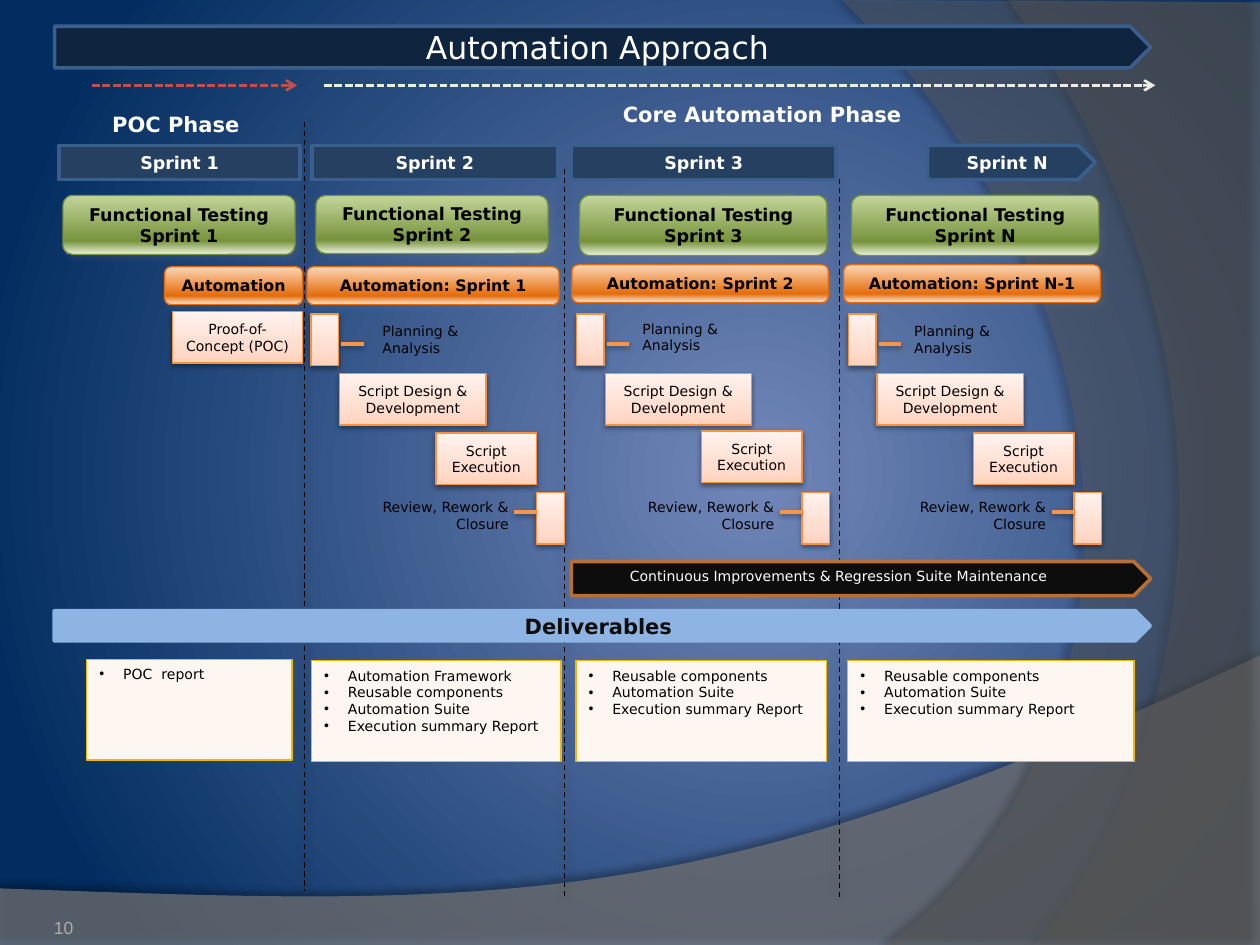
from lxml.etree import SubElement
from pptx import Presentation
from pptx.dml.color import RGBColor
from pptx.enum.dml import MSO_LINE
from pptx.enum.shapes import MSO_CONNECTOR, MSO_SHAPE
from pptx.enum.text import MSO_ANCHOR, MSO_AUTO_SIZE, PP_ALIGN
from pptx.oxml.ns import qn
from pptx.util import Cm, Pt

C = {"white": "FFFFFF", "black": "000000", "title": "0F243E", "edge": "3A5F8C",
     "sprint": "254061", "green": "77933C", "orange": "E46C0A", "step": "F69240",
     "link": "F79646", "maint": "0D0D0D", "maint_edge": "B76F34", "band": "8EB4E3",
     "card": "FEF6F0", "card_edge": "F2B800", "red": "C0504D", "cream": "EEECE1",
     "number": "B0AFA6", "wave": "7F7F7F", "side": "5E5E5E", "dots": "17375E"}
GRADS = {"page": [(0, "7287B9"), (100, "032D60")],
         "green": [(0, "C3D69B"), (77, "77933C"), (100, "EBF1DE")],
         "orange": [(0, "FCD5B5"), (77, "E46C0A"), (100, "FDEADA")],
         "step": [(0, "FFD2BD"), (35, "FFDED0"), (100, "FFF2ED")]}
SHADOWS = {"chip": ("808080", 14, 4, 3, 45), "step": ("000000", 38, 3.1, 1.6, 90),
           "divider": ("000000", 40, 5, 0, 0), "wave": ("000000", 35, 4, 3.5, 270),
           "side": ("000000", 45, 4, 4, 180)}
FONT = "DejaVu Sans"


def rgb(name):
    return RGBColor.from_string(C[name])


def add_color(parent, value, alpha=100):
    clr = SubElement(parent, qn("a:srgbClr"), val=value)
    if alpha < 100:
        SubElement(clr, qn("a:alpha"), val=str(alpha * 1000))


def gradient(fill, parent, name, angle=None):
    fill.background()
    grad = SubElement(parent, qn("a:gradFill"), rotWithShape="1")
    parent.replace(parent.find(qn("a:noFill")), grad)
    stops = SubElement(grad, qn("a:gsLst"))
    for pos, value in GRADS[name]:
        add_color(SubElement(stops, qn("a:gs"), pos=str(pos * 1000)), value)
    if angle is None:
        way = SubElement(grad, qn("a:path"), {"path": "circle"})
        SubElement(way, qn("a:fillToRect"), l="60000", t="50000", r="40000", b="50000")
    else:
        SubElement(grad, qn("a:lin"), ang=str(angle * 60000), scaled="0")


def shadow(sp, name=None):
    spPr = sp._element.spPr
    eff = spPr.find(qn("a:effectLst"))
    if eff is None:
        eff = SubElement(spPr, qn("a:effectLst"))
    if name:
        value, alpha, blur, dist, angle = SHADOWS[name]
        outer = SubElement(eff, qn("a:outerShdw"), blurRad=str(Pt(blur)), dist=str(Pt(dist)),
                           dir=str(angle * 60000), algn="ctr", rotWithShape="0")
        add_color(outer, value, alpha)


def write(sp, lines, size, color="black", bold=False, align=PP_ALIGN.CENTER,
          anchor=MSO_ANCHOR.MIDDLE, wrap=True, bullet=False, font=FONT):
    tf = sp.text_frame
    tf.word_wrap, tf.auto_size, tf.vertical_anchor = wrap, MSO_AUTO_SIZE.NONE, anchor
    for i, line_text in enumerate(lines):
        p = tf.add_paragraph() if i else tf.paragraphs[0]
        p.alignment, p.space_before = align, Pt(0)
        r = p.add_run()
        r.text = line_text
        r.font.name, r.font.size, r.font.bold = font, Pt(size), bold
        r.font.color.rgb = rgb(color)
        if bullet:
            pPr = p._p.get_or_add_pPr()
            pPr.set("marL", str(Cm(0.48)))
            pPr.set("indent", str(-Cm(0.48)))
            SubElement(pPr, qn("a:buChar"), char="•")


def paint(sp, fill, edge, width):
    sp.fill.solid()
    sp.fill.fore_color.rgb = rgb(fill)
    sp.line.color.rgb = rgb(edge)
    sp.line.width = Pt(width)


def place(s, idx, box):
    sp = s.placeholders[idx]
    sp.left, sp.top, sp.width, sp.height = map(Cm, box)
    s.shapes._spTree.append(sp._element)
    return sp


def block(s, kind, box, fill, edge, width=2):
    sp = s.shapes.add_shape(kind, *map(Cm, box))
    sp.shadow.inherit = False
    paint(sp, fill, edge, width)
    return sp


def glossy(s, kind, box, name, angle, effect):
    sp = block(s, kind, box, name, name, 0.75)
    gradient(sp.fill, sp._element.spPr, name, angle)
    shadow(sp, effect)
    return sp


def label(s, box, text, size, **style):
    write(s.shapes.add_textbox(*map(Cm, box)), [text], size, anchor=MSO_ANCHOR.TOP, **style)


def line(s, x1, y1, x2, y2, color, width, dash=None, effect=None, arrow=False):
    ln = s.shapes.add_connector(MSO_CONNECTOR.STRAIGHT, *map(Cm, (x1, y1, x2, y2)))
    ln.line.color.rgb = rgb(color)
    ln.line.width = Pt(width)
    if dash:
        ln.line.dash_style = dash
    if arrow:
        SubElement(ln.line._get_or_add_ln(), qn("a:tailEnd"), type="arrow")
    shadow(ln, effect)


def swoosh(s, corners, c1, c2, end, color, alpha, effect):
    points = [(Cm(x), Cm(y)) for x, y in corners + [end]]
    fb = s.shapes.build_freeform(*points[0])
    fb.add_line_segments(points[1:], close=True)
    sp = fb.convert_to_shape()
    last = sp._element.spPr.findall(".//" + qn("a:lnTo"))[len(corners) - 1]
    curve = SubElement(last.getparent(), qn("a:cubicBezTo"))
    last.getparent().replace(last, curve)
    for x, y in (c1, c2, end):
        SubElement(curve, qn("a:pt"), x=str(Cm(x) - sp.left), y=str(Cm(y) - sp.top))
    sp.shadow.inherit = False
    sp.fill.solid()
    sp.fill.fore_color.rgb = rgb(color)
    clr = sp._element.spPr.find(qn("a:solidFill"))[0]
    SubElement(clr, qn("a:alpha"), val=str(alpha * 1000))
    sp.line.fill.background()
    shadow(sp, effect)


def backdrop(s, w, h):
    gradient(s.background.fill, s._element.cSld.find(".//" + qn("p:bgPr")), "page")
    sides = [(20.85, (23.75, 15.72), (25.86, 7.62), 20.32),
             (17.86, (22.63, 15.72), (24.05, 6.99), 16.97)]
    for foot, c1, c2, top in sides:
        swoosh(s, [(0, 17.91), (0, h), (w, h), (w, 13.21)], (14.2, 18.52), (9.93, 18.26),
               (0, 17.91), "wave", 45, "wave")
        swoosh(s, [(w, 0.05), (w, h), (foot, h)], c1, c2, (top, 0), "side", 40, "side")


def header(s, x, y, w, h):
    block(s, MSO_SHAPE.PENTAGON, (x, y, w, h), "title", "edge")
    write(place(s, 0, (x, y, w - h / 4, h)), ["Automation Approach"], 18, "white")
    phases = [("POC Phase", 2.01, 2.13, 3.07, 1.85, 5.99, "red"),
              ("Core Automation Phase", 12.29, 1.93, 6.15, 6.53, 23.29, "cream")]
    for text, tx, ty, tw, x1, x2, color in phases:
        label(s, (tx, ty, tw, 0.76), text, 12, color="white", bold=True, wrap=False)
        line(s, x1, y + 1.19, x2, y + 1.19, color, 1.5, MSO_LINE.SQUARE_DOT, arrow=True)


def sprint_head(s, y, name, banner, testing, automation, work, kind=MSO_SHAPE.RECTANGLE):
    sp = block(s, kind, (banner[0], y, banner[1], 0.69), "sprint", "edge")
    write(sp, [f"Sprint {name}"], 10, "white", True)
    tx, tw, th = testing
    sp = glossy(s, MSO_SHAPE.ROUNDED_RECTANGLE, (tx, y + 1.01, tw, th), "green", 90, "chip")
    write(sp, [f"Functional Testing Sprint {name}"], 10, bold=True)
    ax, dy, aw = automation
    sp = glossy(s, MSO_SHAPE.ROUNDED_RECTANGLE, (ax, y + dy, aw, 0.76), "orange", 90, "chip")
    write(sp, [work], 9, bold=True)


def step(s, x, y, w, text=None):
    sp = glossy(s, MSO_SHAPE.RECTANGLE, (x, y, w, 1.04), "step", 270, "step")
    if text:
        write(sp, [text], 8)


def sprint_steps(s, x, y, note_dx, note_dy, lift):
    pitch = 1.2
    step(s, x, y, 0.56)
    line(s, x + 1.06, y + 0.6, x + 0.61, y + 0.6, "link", 2, effect="step")
    label(s, (x + note_dx, y + note_dy, 2.62, 0.94), "Planning & Analysis", 8,
          align=PP_ALIGN.LEFT)
    step(s, x + 0.58, y + pitch, 2.95, "Script Design & Development")
    step(s, x + 2.52, y + 2 * pitch - lift, 2.03, "Script Execution")
    step(s, x + 4.55, y + 3 * pitch, 0.56)
    label(s, (x + 0.48, y + 3 * pitch, 3.76, 0.94), "Review, Rework & Closure", 8,
          align=PP_ALIGN.RIGHT)
    line(s, x + 4.55, y + 3 * pitch + 0.39, x + 4.1, y + 3 * pitch + 0.39, "link", 2,
         effect="step")


def maintenance(s, x, y, w, h):
    block(s, MSO_SHAPE.PENTAGON, (x, y, w, h), "maint", "maint_edge")
    label(s, (x, y, 9.86, 0.61), "Continuous Improvements & Regression Suite Maintenance", 8,
          color="white", align=PP_ALIGN.RIGHT)


def deliverables(s, x, y, w, h):
    sp = block(s, MSO_SHAPE.PENTAGON, (x, y, w, h), "band", "band")
    write(sp, ["Deliverables"], 12, "maint", True)
    suite = ["Reusable components", "Automation Suite", "Execution summary Report"]
    cards = [(1.75, 0.98, 4.14, ["POC  report"]),
             (6.28, 1.01, 5.03, ["Automation Framework"] + suite),
             (11.61, 1.01, 5.05, suite), (17.09, 1.01, 5.77, suite)]
    for idx, (cx, dy, cw, items) in enumerate(cards, 1):
        sp = place(s, idx, (cx, y + dy, cw, 2.03))
        paint(sp, "card", "card_edge", 0.75)
        write(sp, items, 8, align=PP_ALIGN.LEFT, anchor=MSO_ANCHOR.TOP, bullet=True)


def page_number(s, x, y, w, h):
    sp = s.shapes.add_textbox(*map(Cm, (x, y, w, h)))
    tf = sp.text_frame
    tf.margin_left = tf.margin_top = tf.margin_right = tf.margin_bottom = 0
    write(sp, ["10"], 10, "number", align=PP_ALIGN.RIGHT, anchor=MSO_ANCHOR.BOTTOM, font="Arial")


def main():
    prs = Presentation()
    prs.slide_width, prs.slide_height = Cm(25.4), Cm(19.05)
    s = prs.slides.add_slide(prs.slide_layouts[4])
    backdrop(s, 25.4, 19.05)
    page_number(s, 0.21, 17.65, 1.27, 1.27)
    header(s, 1.1, 0.53, 22.1, 0.84)
    for x, top, bottom in [(6.14, 2.46, 17.96), (11.38, 3.4, 18.14), (16.92, 3.61, 18.08)]:
        line(s, x, top, x, bottom, "black", 0.75, MSO_LINE.DASH, "divider")
    label(s, (17.42, 3.61, 2.24, 0.61), "…..", 8, color="dots", bold=True)
    heads = [("1", (1.19, 4.86), (1.27, 4.68, 1.19), (3.32, 2.45, 2.78), "Automation"),
             ("2", (6.29, 4.95), (6.37, 4.68, 1.17), (6.19, 2.45, 5.08),
              "Automation: Sprint 1"),
             ("3", (11.52, 5.33), (11.69, 4.98, 1.21), (11.53, 2.41, 5.17),
              "Automation: Sprint 2"),
             ("N", (18.7, 3.38), (17.17, 4.98, 1.21), (17.01, 2.41, 5.17),
              "Automation: Sprint N-1", MSO_SHAPE.PENTAGON)]
    for head in heads:
        sprint_head(s, 2.93, *head)
    step(s, 3.48, 6.28, 2.62, "Proof-of-Concept (POC)")
    for column in [(6.27, 1.19, 0.05, 0), (11.62, 1.08, 0, 0.04), (17.1, 1.08, 0.05, 0)]:
        x, note_dx, note_dy, lift = column
        sprint_steps(s, x, 6.33, note_dx, note_dy, lift)
    maintenance(s, 11.52, 11.32, 11.68, 0.69)
    deliverables(s, 1.09, 12.31, 22.1, 0.61)
    prs.save("out.pptx")


if __name__ == "__main__":
    main()
